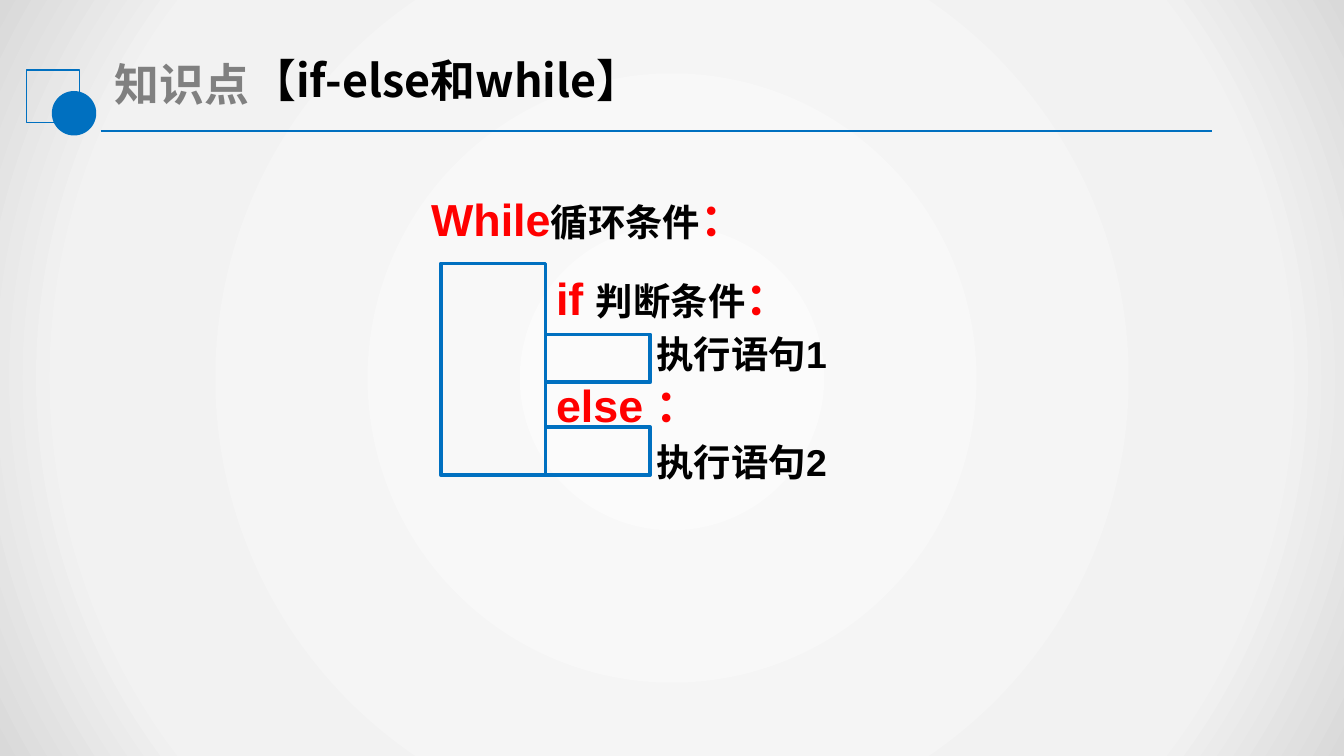
from typing import NamedTuple

from lxml.etree import SubElement
from pptx import Presentation
from pptx.dml.color import RGBColor
from pptx.enum.shapes import MSO_CONNECTOR, MSO_SHAPE
from pptx.enum.text import MSO_ANCHOR, PP_ALIGN
from pptx.oxml.ns import qn
from pptx.util import Cm, Pt

BLUE = RGBColor(0x00, 0x70, 0xC0)
RED = RGBColor(0xFF, 0x00, 0x00)
GREY = RGBColor(0x80, 0x80, 0x80)
BLACK = RGBColor(0x00, 0x00, 0x00)
BACKGROUND_STOPS = [(0, "FBFBFB"), (79, "F2F2F2"), (100, "D9D9D9")]
CJK_FONT = "Noto Sans CJK SC"
TAB_STOP = Cm(1.9)


class Span(NamedTuple):
    text: str
    size: int
    color: RGBColor
    latin: str = "Arial"
    east_asian: str = "Arial"


class Area(NamedTuple):
    left: float
    top: float
    width: float
    height: float

    def lengths(self) -> tuple:
        return tuple(Cm(value) for value in self)


def keyword(text: str) -> Span:
    return Span(text, 24, RED)


def phrase(text: str) -> Span:
    return Span(text, 20, BLACK, east_asian=CJK_FONT)


def indented(text: str) -> list[Span]:
    return [Span("\t", 24, BLACK), phrase(text)]


def paint_background(page) -> None:
    """Fill the page with a gradient that darkens from the centre."""
    page.background.fill.gradient()
    gradient = page._element.find(".//" + qn("a:gradFill"))
    for child in list(gradient):
        gradient.remove(child)
    stops = SubElement(gradient, qn("a:gsLst"))
    for percent, color in BACKGROUND_STOPS:
        stop = SubElement(stops, qn("a:gs"), pos=str(percent * 1000))
        SubElement(stop, qn("a:srgbClr"), val=color)
    circle = SubElement(gradient, qn("a:path"), path="circle")
    SubElement(circle, qn("a:fillToRect"), l="50000", t="50000", r="50000", b="50000")


def write(box, lines: list[list[Span]], align=PP_ALIGN.LEFT) -> None:
    frame = box.text_frame
    frame.word_wrap = True
    frame.vertical_anchor = MSO_ANCHOR.TOP
    for index, line in enumerate(lines):
        para = frame.add_paragraph() if index else frame.paragraphs[0]
        para.alignment = align
        para.space_before = Pt(0)
        if line[0].text == "\t":
            tabs = SubElement(para._p.get_or_add_pPr(), qn("a:tabLst"))
            SubElement(tabs, qn("a:tab"), pos=str(TAB_STOP), algn="l")
        for span in line:
            run = para.add_run()
            run.text = span.text
            run.font.size = Pt(span.size)
            run.font.bold = True
            run.font.color.rgb = span.color
            run.font.name = span.latin
            SubElement(run._r.get_or_add_rPr(), qn("a:ea"), typeface=span.east_asian)


def add_text(page, area: Area, lines: list[list[Span]], align=PP_ALIGN.LEFT) -> None:
    write(page.shapes.add_textbox(*area.lengths()), lines, align)


def add_frame(page, area: Area, weight: float) -> None:
    frame = page.shapes.add_shape(MSO_SHAPE.RECTANGLE, *area.lengths())
    frame.shadow.inherit = False
    frame.fill.background()
    frame.line.color.rgb = BLUE
    frame.line.width = Pt(weight)


def add_heading(page) -> None:
    title = page.shapes.title
    title.left, title.top, title.width, title.height = Area(4.5, 0.86, 11.6, 1.27).lengths()
    write(title, [[Span("【if-else和while】", 24, BLACK, CJK_FONT, CJK_FONT)]])
    label = Span("知识点", 24, GREY, "Roboto Condensed", "Roboto Condensed")
    add_text(page, Area(1.9, 0.94, 3.07, 1.27), [[label]], PP_ALIGN.CENTER)

    # Square, rule and dot
    add_frame(page, Area(0.5, 1.32, 1, 1), 0.75)
    rule = page.shapes.add_connector(
        MSO_CONNECTOR.STRAIGHT, Cm(1.9), Cm(2.47), Cm(22.91), Cm(2.47))
    rule.line.color.rgb = BLUE
    rule.line.width = Pt(1.25)
    SubElement(rule._element.spPr, qn("a:effectLst"))
    dot = page.shapes.add_shape(MSO_SHAPE.OVAL, *Area(0.98, 1.72, 0.84, 0.84).lengths())
    dot.shadow.inherit = False
    dot.fill.solid()
    dot.fill.fore_color.rgb = BLUE
    dot.line.fill.background()


def add_loop(page) -> None:
    add_text(page, Area(10.26, 4.98, 10.77, 4.37), [
        [keyword("if "), phrase("判断条件"), keyword("：")],
        indented("执行语句1"),
        [keyword("else ："),],
        indented("执行语句2"),
    ])
    add_text(page, Area(7.9, 3.5, 10.77, 1.27),
             [[keyword("While"), phrase("循环条件"), keyword("：")]])

    # Indentation blocks: the loop body, then the two branches
    body = Area(8.33, 4.98, 1.98, 3.99)
    add_frame(page, body, 2)
    for top in (6.32, 8.07):
        add_frame(page, Area(body.left + body.width, top, body.width, 0.9), 2)


def main() -> None:
    deck = Presentation()
    deck.slide_width, deck.slide_height = Cm(25.4), Cm(14.28)
    page = deck.slides.add_slide(deck.slide_layouts[5])
    paint_background(page)
    add_heading(page)
    add_loop(page)
    deck.save("out.pptx")


if __name__ == "__main__":
    main()
